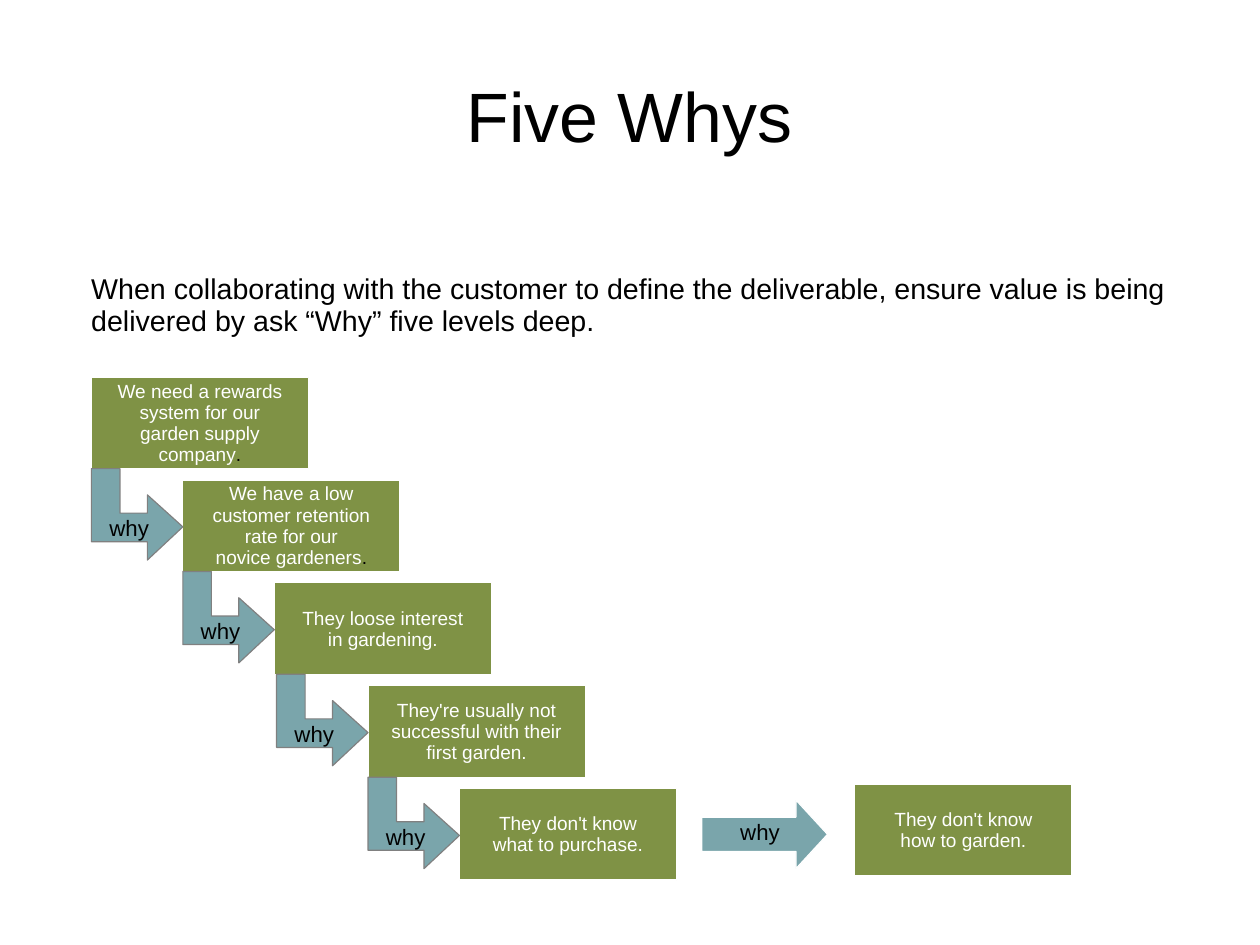
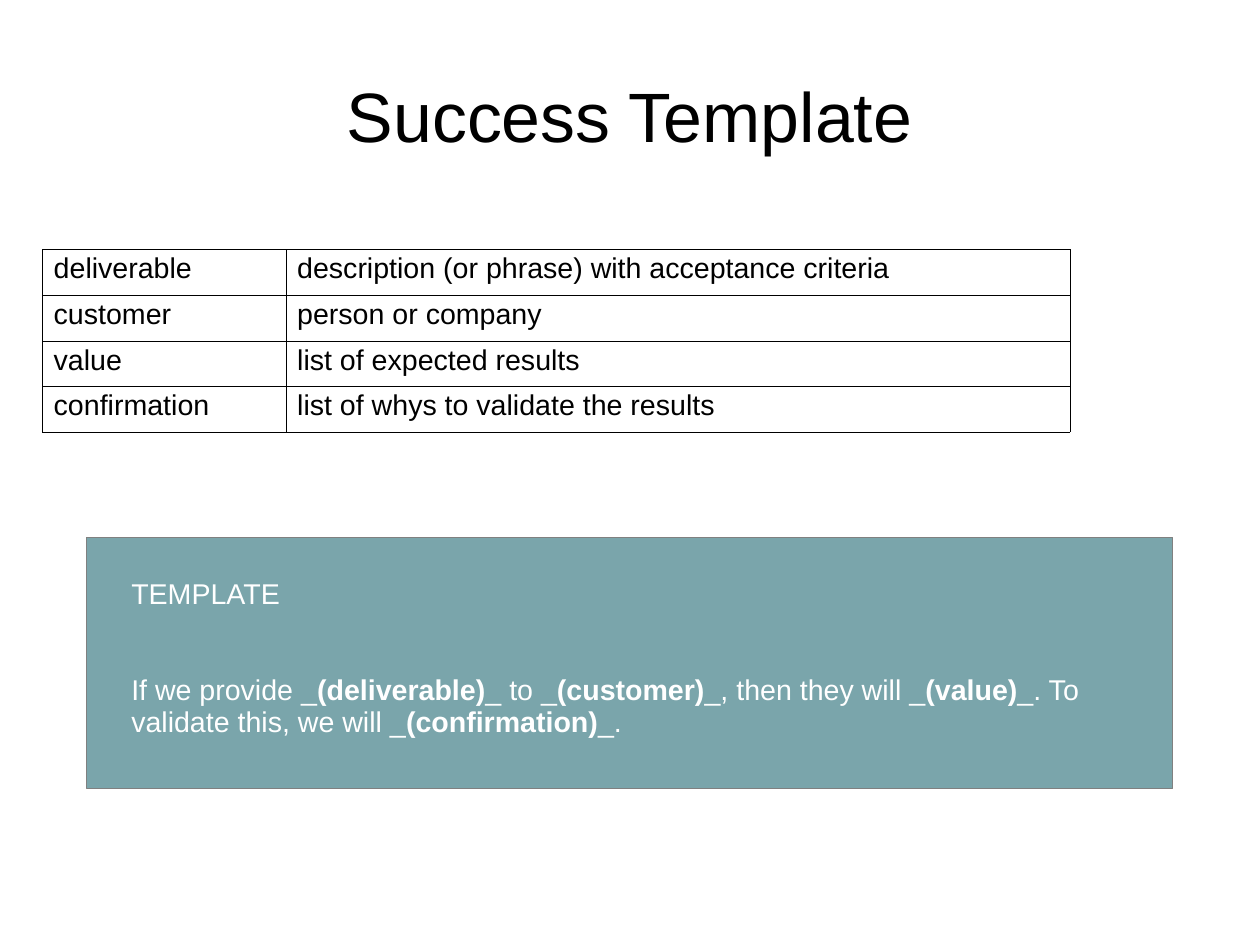
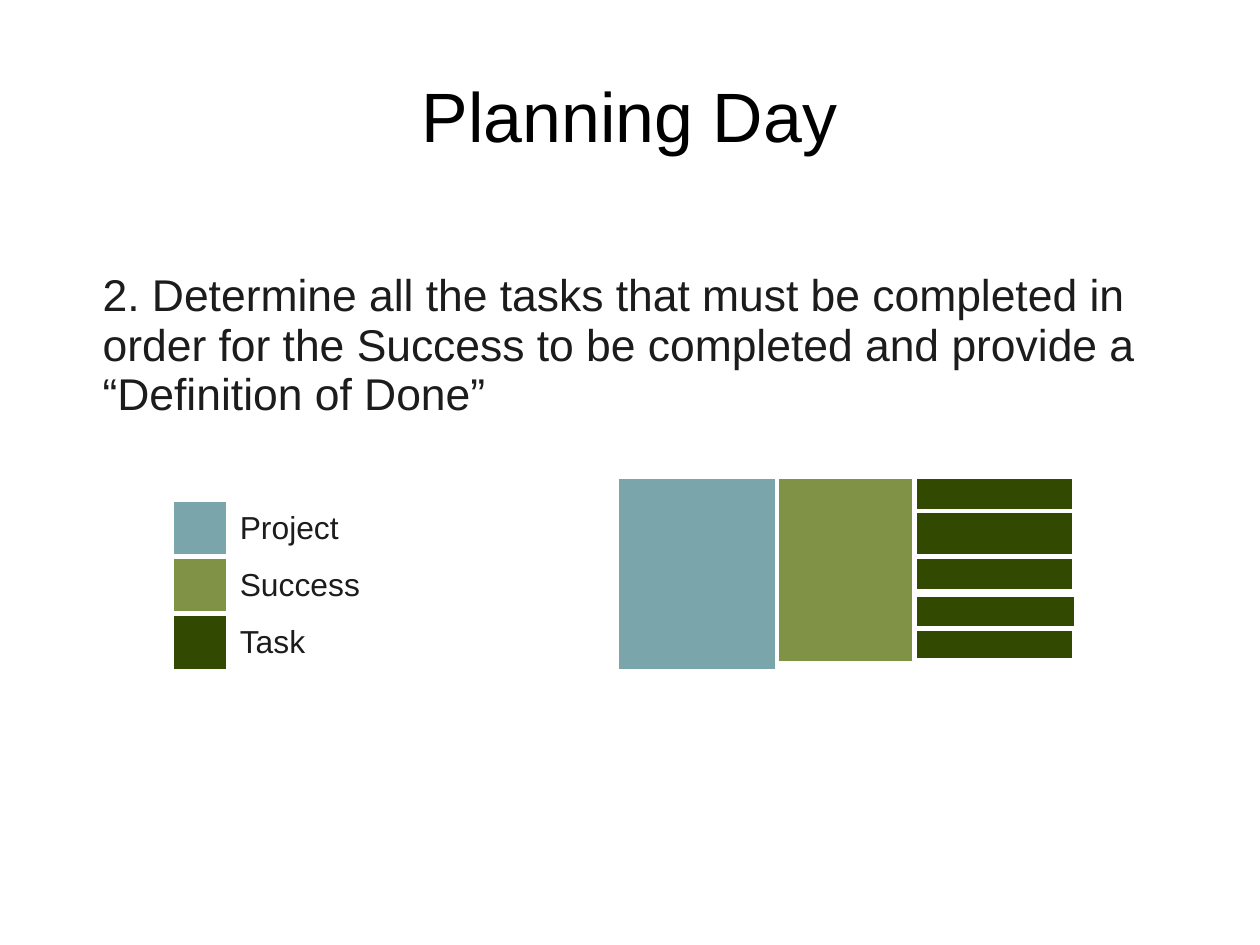
from lxml.etree import SubElement
from pptx import Presentation
from pptx.dml.color import RGBColor
from pptx.enum.shapes import MSO_SHAPE
from pptx.enum.text import MSO_ANCHOR, PP_ALIGN
from pptx.oxml.ns import qn
from pptx.util import Inches, Pt

CM_PER_INCH = 2.54
SLIDE_WIDTH, SLIDE_HEIGHT = 28 / CM_PER_INCH, 21 / CM_PER_INCH
FONT = "Arial"
BLACK, WHITE, INK, GRAY = "000000", "FFFFFF", "1C1C1C", "808080"
TEAL, OLIVE, FOREST = "7AA5AB", "7F9245", "314900"
LINE_SPACING = 0.93

STEP_WIDTH, STEP_HEIGHT = 1.9, 0.8
ELBOW_SIZE = 0.8
ELBOW_OUTLINE = [(0, 0), (0.25, 0), (0.25, 0.39), (0.49, 0.39), (0.49, 0.23),
                 (0.8, 0.51), (0.49, 0.8), (0.49, 0.64), (0, 0.64)]
STEPS = [
    (0.8, ["We need a rewards", "system for our", "garden supply", "company"], "."),
    (1.6, ["We have a low", "customer retention", "rate for our", "novice gardeners"], "."),
    (2.4, ["They loose interest", "in gardening."], ""),
    (3.22, ["They're usually not", "successful with their", "first garden."], ""),
    (4.02, ["They don't know", "what to purchase."], ""),
]
SUCCESS_PARTS = [
    ("deliverable", "description (or phrase) with acceptance criteria"),
    ("customer", "person or company"),
    ("value", "list of expected results"),
    ("confirmation", "list of whys to validate the results"),
]
TEMPLATE_RUNS = [
    ("If we provide _", False), ("(deliverable)", True), ("_ to _", False),
    ("(customer)", True), ("_, then they will _", False), ("(value)", True),
    ("_. To validate this, we will _", False), ("(confirmation)", True), ("_.", False),
]
LEGEND = [("Project", TEAL), ("Success", OLIVE), ("Task", FOREST)]
TASK_BARS = [(0, 1.4, 0.3), (0.3, 1.4, 0.4), (0.7, 1.4, 0.3), (1.31, 1.4, 0.3), (1.03, 1.42, 0.3)]


def color(value):
    """Turn a hex string into a colour."""
    return RGBColor.from_string(value)


def add_run(paragraph, text, size, ink, bold=False):
    """Append one formatted run to a paragraph."""
    run = paragraph.add_run()
    run.text = text
    run.font.name = FONT
    run.font.size = Pt(size)
    run.font.bold = bold
    run.font.color.rgb = color(ink)


def set_paragraph(paragraph, align=PP_ALIGN.LEFT):
    """Apply the shared alignment and line spacing."""
    paragraph.alignment = align
    paragraph.line_spacing = LINE_SPACING


def set_frame(frame, insets, anchor=MSO_ANCHOR.TOP):
    """Set wrapping, insets (left, top, right, bottom) and anchor."""
    frame.word_wrap = True
    frame.vertical_anchor = anchor
    (frame.margin_left, frame.margin_top,
     frame.margin_right, frame.margin_bottom) = map(Inches, insets)


def add_text(slide, box, text, size, ink, align=PP_ALIGN.LEFT,
             insets=(0.1, 0.07, 0.1, 0.05), anchor=MSO_ANCHOR.TOP):
    """Add a text box whose first paragraph holds one run."""
    frame = slide.shapes.add_textbox(*map(Inches, box)).text_frame
    set_frame(frame, insets, anchor)
    set_paragraph(frame.paragraphs[0], align)
    add_run(frame.paragraphs[0], text, size, ink)
    return frame


def style_shape(shape, fill, line, width):
    """Give a shape a flat fill and outline without shadow."""
    shape.shadow.inherit = False
    shape.fill.solid()
    shape.fill.fore_color.rgb = color(fill)
    shape.line.color.rgb = color(line)
    shape.line.width = Pt(width)


def add_block(slide, box, fill, line=WHITE, width=0.75, kind=MSO_SHAPE.RECTANGLE):
    """Add a filled preset shape."""
    shape = slide.shapes.add_shape(kind, *map(Inches, box))
    style_shape(shape, fill, line, width)
    return shape


def add_titled_slide(presentation, title):
    """Add a blank slide with the shared title."""
    slide = presentation.slides.add_slide(presentation.slide_layouts[6])
    add_text(slide, (0.55, 0.33, 9.92, 1.38), title, 44, BLACK, PP_ALIGN.CENTER,
             (0, 0.04, 0, 0), MSO_ANCHOR.MIDDLE)
    return slide


def add_step(slide, left, top, lines, ending=""):
    """Add one answer box, with an optional dark closing mark."""
    shape = add_block(slide, (left, top, STEP_WIDTH, STEP_HEIGHT), OLIVE)
    frame = shape.text_frame
    set_frame(frame, (0.1, 0.06, 0.1, 0.05), MSO_ANCHOR.MIDDLE)
    for index, line in enumerate(lines):
        paragraph = frame.add_paragraph() if index else frame.paragraphs[0]
        set_paragraph(paragraph, PP_ALIGN.CENTER)
        add_run(paragraph, line, 12, WHITE)
    if ending:
        add_run(paragraph, ending, 12, BLACK)


def add_why(slide, left, top, height):
    """Add the label of an arrow."""
    add_text(slide, (left, top, 0.9, height), "why", 14, BLACK, PP_ALIGN.CENTER,
             (0.1, 0.06, 0.1, 0.05))


def add_elbow_arrow(slide, left, top):
    """Add a labelled arrow that turns from down to right."""
    points = [(Inches(left + x), Inches(top + y)) for x, y in ELBOW_OUTLINE]
    builder = slide.shapes.build_freeform(*points[0])
    builder.add_line_segments(points[1:], close=True)
    style_shape(builder.convert_to_shape(), TEAL, GRAY, 0.75)
    add_why(slide, left - 0.12, top + 0.36, 0.38)


def add_straight_arrow(slide, left, top):
    """Add a labelled arrow that points right."""
    arrow = add_block(slide, (left, top, 1.1, 0.6), TEAL, kind=MSO_SHAPE.RIGHT_ARROW)
    arrow.adjustments[0] = 0.5
    arrow.adjustments[1] = 0.46
    add_why(slide, left + 0.06, top + 0.12, 0.32)


def add_staircase(slide, top):
    """Add the descending answers and the arrows between them."""
    pitch = 0.9
    for index, (left, lines, ending) in enumerate(STEPS):
        add_step(slide, left, top + index * pitch, lines, ending)
    for index, (left, _, _) in enumerate(STEPS[1:]):
        add_elbow_arrow(slide, left - ELBOW_SIZE, top + index * pitch + STEP_HEIGHT)


def set_borders(cell):
    """Draw a hairline on each side of a table cell."""
    properties = cell._tc.get_or_add_tcPr()
    for side in ("a:lnL", "a:lnR", "a:lnT", "a:lnB"):
        line = SubElement(properties, qn(side), w="762")
        fill = SubElement(line, qn("a:solidFill"))
        SubElement(fill, qn("a:srgbClr"), val=BLACK)


def add_parts_table(slide, left, top):
    """Add the table that explains the parts of a success."""
    widths, row_height = (2.13, 6.86), 0.4
    box = (left, top, sum(widths), row_height * len(SUCCESS_PARTS))
    table = slide.shapes.add_table(len(SUCCESS_PARTS), len(widths), *map(Inches, box)).table
    table.first_row = table.horz_banding = False
    for column, width in zip(table.columns, widths):
        column.width = Inches(width)
    for row, texts in enumerate(SUCCESS_PARTS):
        for column, text in enumerate(texts):
            cell = table.cell(row, column)
            set_borders(cell)
            cell.fill.solid()
            cell.fill.fore_color.rgb = color(WHITE)
            paragraph = cell.text_frame.paragraphs[0]
            set_paragraph(paragraph)
            add_run(paragraph, text, 18, BLACK)


def add_template_panel(slide, left, top):
    """Add the panel with the sentence to fill in."""
    add_block(slide, (left, top, 9.5, 2.2), TEAL, GRAY)
    frame = add_text(slide, (left + 0.29, top + 0.3, 8.95, 1.7), "TEMPLATE", 18, WHITE)
    paragraph = frame.add_paragraph()
    set_paragraph(paragraph)
    paragraph.space_before = Pt(40)
    for text, bold in TEMPLATE_RUNS:
        add_run(paragraph, text, 18, WHITE, bold)


def add_legend(slide, left, top):
    """Add the colour key."""
    side = 0.5
    for index, (name, fill) in enumerate(LEGEND):
        row_top = top + index * side
        add_block(slide, (left, row_top, side, side), fill, width=2.89)
        add_text(slide, (left + side, row_top + 0.03, 1.9, 0.41), name, 20, INK)


def add_breakdown(slide, left, top):
    """Add the project, its success and the tasks side by side."""
    project_width, success_width = 1.4, 1.2
    success_left = left + project_width
    tasks_left = success_left + success_width
    add_block(slide, (left, top, project_width, 1.7), TEAL, width=2.89)
    for offset, width, height in TASK_BARS:
        add_block(slide, (tasks_left, top + offset, width, height), FOREST, width=2.89)
    add_block(slide, (success_left, top, success_width, 1.63), OLIVE, width=2.89)


def build_five_whys(presentation):
    """Build the slide on asking why five times."""
    slide = add_titled_slide(presentation, "Five Whys")
    add_text(slide, (0.7, 2.33, 9.6, 0.86),
             "When collaborating with the customer to define the deliverable, ensure value "
             "is being delivered by ask “Why” five levels deep.", 18, BLACK)
    add_staircase(slide, 3.3)
    add_straight_arrow(slide, 6.14, 7)
    add_step(slide, 7.48, 6.86, ["They don't know", "how to garden."])


def build_success_template(presentation):
    """Build the slide with the success template."""
    slide = add_titled_slide(presentation, "Success Template")
    add_parts_table(slide, 0.37, 2.18)
    add_template_panel(slide, 0.76, 4.7)


def build_planning_day(presentation):
    """Build the slide on breaking work into tasks."""
    slide = add_titled_slide(presentation, "Planning Day")
    add_text(slide, (0.8, 2.3, 9.4, 1.39),
             "2. Determine all the tasks that must be completed in order for the Success "
             "to be completed and provide a “Definition of Done”", 28, INK,
             insets=(0.1, 0.08, 0.1, 0.05))
    add_legend(slide, 1.5, 4.37)
    add_breakdown(slide, 5.4, 4.17)


def main():
    """Build and save the presentation."""
    presentation = Presentation()
    presentation.slide_width = Inches(SLIDE_WIDTH)
    presentation.slide_height = Inches(SLIDE_HEIGHT)
    build_five_whys(presentation)
    build_success_template(presentation)
    build_planning_day(presentation)
    presentation.save("out.pptx")


if __name__ == "__main__":
    main()
